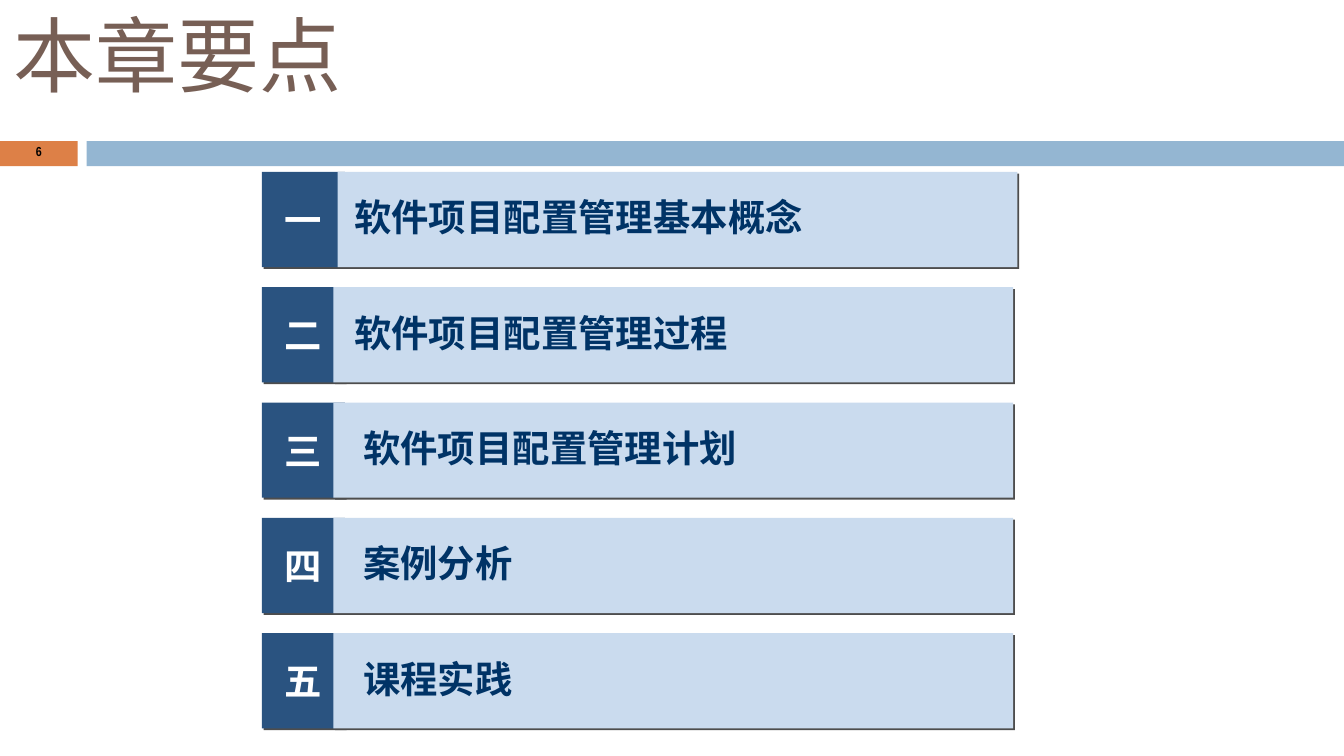
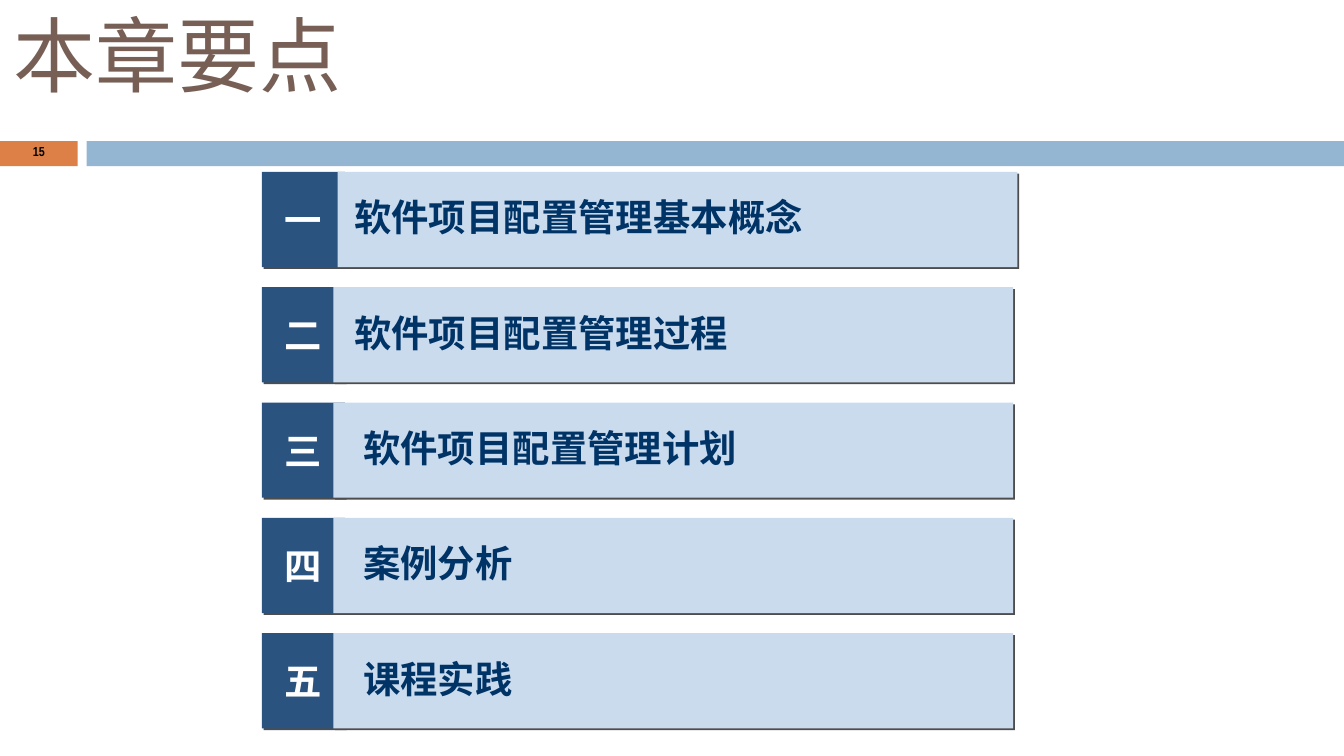
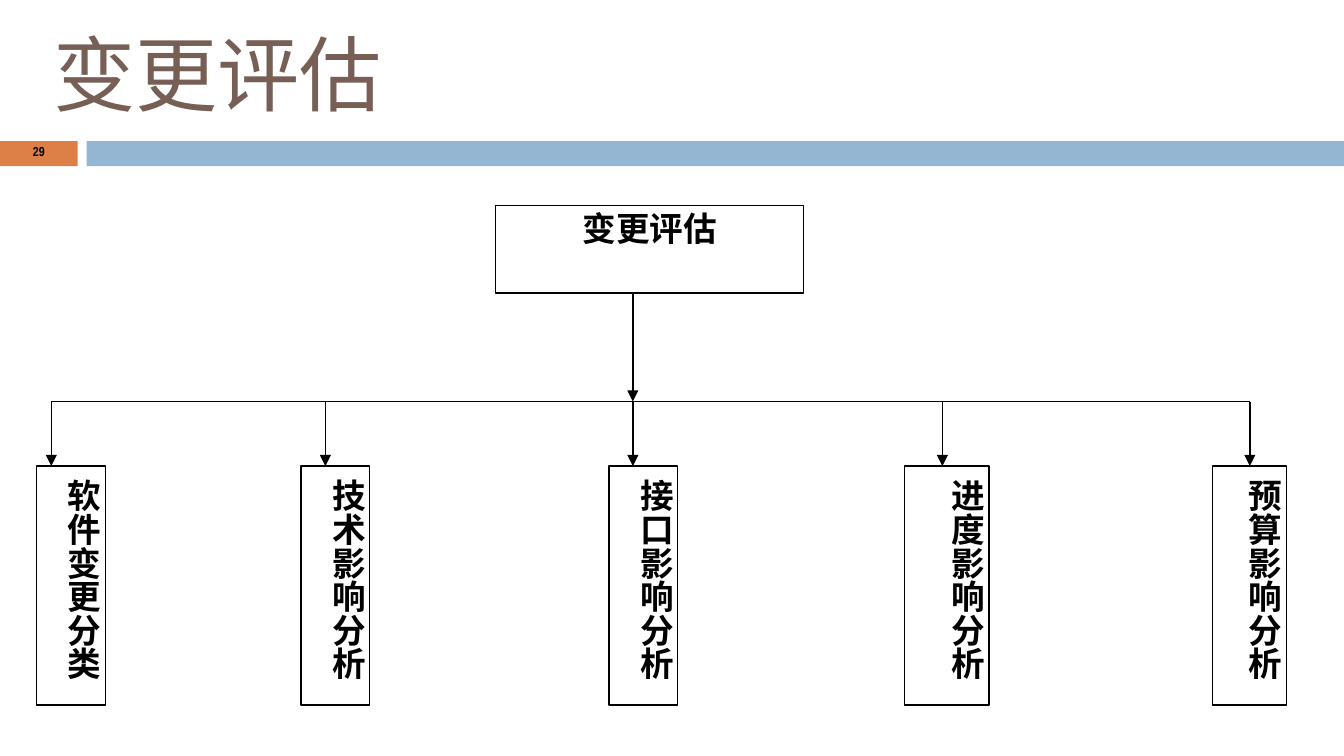
from dataclasses import dataclass

from lxml.etree import SubElement
from pptx import Presentation
from pptx.dml.color import RGBColor
from pptx.enum.shapes import MSO_CONNECTOR as Connector, MSO_SHAPE as Shape
from pptx.enum.text import MSO_ANCHOR as Anchor, PP_ALIGN as Align
from pptx.oxml.ns import qn
from pptx.util import Cm, Pt


@dataclass(frozen=True)
class Theme:
    orange: str = "DD8047"
    light_blue: str = "94B6D2"
    brown: str = "775F55"
    dark_blue: str = "2A5380"
    pale_blue: str = "CADBEE"
    navy: str = "003366"
    shadow: str = "4D4D4D"
    black: str = "000000"
    white: str = "FFFFFF"
    chinese_font: str = "Noto Sans CJK SC"
    diagram_font: str = "Times New Roman"
    number_font: str = "Arial Narrow"
    title_size: int = 44
    agenda_size: int = 20
    diagram_size: int = 18
    number_size: int = 7


THEME = Theme()

TITLE = {"name": THEME.chinese_font, "size": Pt(THEME.title_size), "color": THEME.brown}
PAGE_NUMBER = {"name": THEME.number_font, "size": Pt(THEME.number_size), "bold": True,
               "color": THEME.black}
AGENDA_NUMBER = {"name": THEME.chinese_font, "size": Pt(THEME.agenda_size), "bold": True,
                 "color": THEME.white}
AGENDA_LABEL = {**AGENDA_NUMBER, "color": THEME.navy}
DIAGRAM = {"name": THEME.diagram_font, "size": Pt(THEME.diagram_size), "bold": True,
           "color": THEME.black}

INSETS = (0.25, 0.13, 0.25, 0.13)

# number, label, label left, label width
AGENDA = [
    ("一", "软件项目配置管理基本概念", 6.38, 12.19),
    ("二", "软件项目配置管理过程", 6.38, 12.19),
    ("三", "软件项目配置管理计划", 6.55, 12.01),
    ("四", "案例分析", 6.55, 11.2),
    ("五", "课程实践", 6.55, 11.2),
]
AGENDA_TOP, AGENDA_PITCH, AGENDA_HEIGHT = 3.25, 2.18, 1.8

# label, box left, box width, arrow position
BRANCHES = [
    ("软件变更分类", 0.69, 1.3, 0.97),
    ("技术影响分析", 5.69, 1.3, 6.15),
    ("接口影响分析", 11.51, 1.3, 11.96),
    ("进度影响分析", 17.09, 1.6, 17.81),
    ("预算影响分析", 22.91, 1.4, 23.62),
]
ROOT_TOP, ROOT_HEIGHT = 3.89, 1.65
BUS_Y = 7.59
BRANCH_TOP, BRANCH_HEIGHT = 8.81, 4.52


def write(shape, text, style, align=Align.LEFT, anchor=Anchor.MIDDLE, insets=INSETS):
    """Put one formatted line into the shape; insets run left, top, right, bottom."""
    frame = shape.text_frame
    frame.word_wrap = True
    frame.vertical_anchor = anchor
    for side, inset in zip(("left", "top", "right", "bottom"), insets):
        setattr(frame, f"margin_{side}", Cm(inset))
    paragraph = frame.paragraphs[0]
    paragraph.alignment = align
    run = paragraph.add_run()
    run.text = text
    for attribute, value in style.items():
        if attribute == "color":
            run.font.color.rgb = RGBColor.from_string(value)
        else:
            setattr(run.font, attribute, value)
    properties = run._r.get_or_add_rPr()
    SubElement(properties, qn("a:ea"), typeface=THEME.chinese_font)
    return paragraph


def add_box(slide, box, fill=None, line=None, kind=Shape.RECTANGLE):
    shape = slide.shapes.add_shape(kind, *map(Cm, box))
    shape.shadow.inherit = False
    if fill:
        shape.fill.solid()
        shape.fill.fore_color.rgb = RGBColor.from_string(fill)
    else:
        shape.fill.background()
    if line:
        shape.line.color.rgb = RGBColor.from_string(line)
        shape.line.width = Pt(0.75)
    else:
        shape.line.fill.background()
    return shape


def add_shadowed_box(slide, box, fill):
    shape = add_box(slide, box, fill)
    effects = shape.element.spPr.find(qn("a:effectLst"))
    shadow = SubElement(effects, qn("a:outerShdw"), dist=str(Pt(1.4)), dir="2700000",
                        algn="ctr", rotWithShape="0")
    SubElement(shadow, qn("a:srgbClr"), val=THEME.shadow)
    return shape


def add_line(slide, start, end, arrow=False):
    line = slide.shapes.add_connector(Connector.STRAIGHT, *map(Cm, start + end))
    line.line.color.rgb = RGBColor.from_string(THEME.black)
    line.line.width = Pt(0.75)
    if arrow:
        SubElement(line.line._get_or_add_ln(), qn("a:tailEnd"), type="triangle")
    SubElement(line.element.spPr, qn("a:effectLst"))


def add_titled_slide(presentation, title, number, left=0, top=0):
    """Add a slide with its title, the two bands and the page number."""
    slide = presentation.slides.add_slide(presentation.slide_layouts[5])
    add_box(slide, (0, 2.67, 1.47, 0.47), THEME.orange)
    add_box(slide, (1.64, 2.67, 23.76, 0.47), THEME.light_blue)

    heading = slide.shapes.title
    placement = {"left": left, "top": top, "width": 21.59, "height": 2.39}
    for attribute, value in placement.items():
        setattr(heading, attribute, Cm(value))
    write(heading, title, TITLE, insets=(0.25, 0, 0.25, 0.38))

    number_box = slide.shapes.add_textbox(*map(Cm, (0, 2.64, 1.47, 0.51)))
    paragraph = write(number_box, str(number), PAGE_NUMBER, Align.CENTER)
    paragraph.line_spacing = 0.8
    return slide


def add_agenda_slide(presentation, number):
    slide = add_titled_slide(presentation, "本章要点", number)
    for index, (numeral, label, label_left, label_width) in enumerate(AGENDA):
        top = AGENDA_TOP + index * AGENDA_PITCH
        bar_left = 6.3 if index else 6.38
        numeral_box = add_shadowed_box(slide, (4.95, top, 1.57, AGENDA_HEIGHT),
                                       THEME.dark_blue)
        write(numeral_box, numeral, AGENDA_NUMBER, Align.CENTER)
        add_shadowed_box(slide, (bar_left, top, 12.85, AGENDA_HEIGHT), THEME.pale_blue)
        label_box = add_box(slide, (label_left, top + 0.2, label_width, 1.3),
                            kind=Shape.ROUNDED_RECTANGLE)
        write(label_box, label, AGENDA_LABEL)


def add_evaluation_slide(presentation, number):
    slide = add_titled_slide(presentation, "变更评估", number, 0.76, 0.36)
    root = add_box(slide, (9.37, ROOT_TOP, 5.82, ROOT_HEIGHT), THEME.white, THEME.black)
    write(root, "变更评估", DIAGRAM, Align.CENTER, Anchor.TOP, (0.25, 0.05, 0.25, 0.13))

    arrow_positions = [branch[-1] for branch in BRANCHES]
    middle = arrow_positions[len(BRANCHES) // 2]
    add_line(slide, (arrow_positions[0], BUS_Y), (arrow_positions[-1], BUS_Y))
    add_line(slide, (middle, ROOT_TOP + ROOT_HEIGHT), (middle, BUS_Y), arrow=True)

    for label, left, width, arrow_x in BRANCHES:
        branch = add_box(slide, (left, BRANCH_TOP, width, BRANCH_HEIGHT),
                         THEME.white, THEME.black)
        write(branch, label, DIAGRAM, Align.CENTER, Anchor.TOP, (0.13, 0.25, 0.03, 0.25))
        branch.text_frame._txBody.bodyPr.set("vert", "eaVert")
        add_line(slide, (arrow_x, BUS_Y), (arrow_x, BRANCH_TOP), arrow=True)


def main():
    presentation = Presentation()
    presentation.slide_width = Cm(25.4)
    presentation.slide_height = Cm(14.29)
    add_agenda_slide(presentation, 6)
    add_agenda_slide(presentation, 15)
    add_evaluation_slide(presentation, 29)
    presentation.save("out.pptx")


if __name__ == "__main__":
    main()
